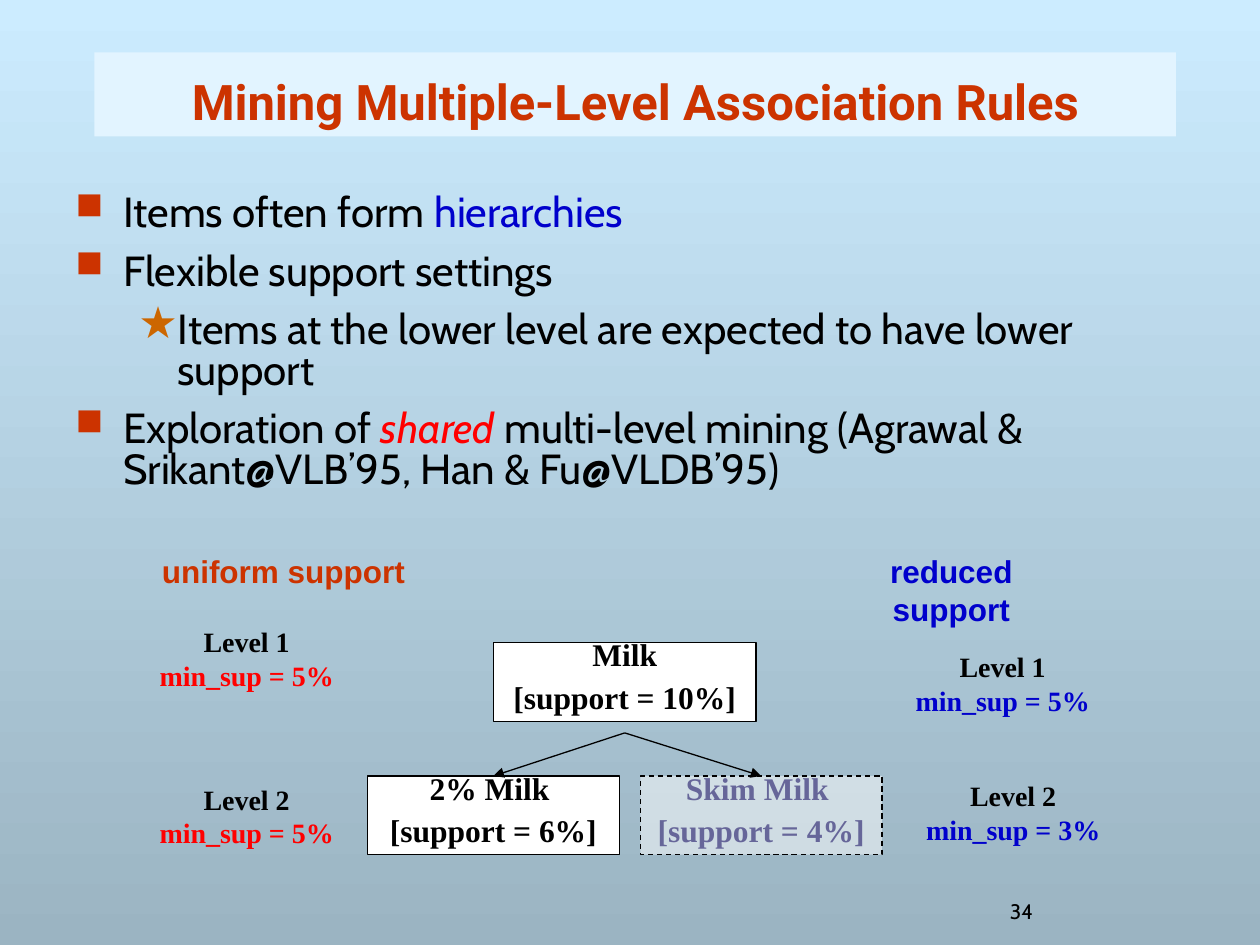
from pptx import Presentation
from pptx.dml.color import RGBColor
from pptx.enum.dml import MSO_LINE
from pptx.enum.shapes import MSO_CONNECTOR, MSO_SHAPE
from pptx.enum.text import MSO_ANCHOR, PP_ALIGN
from pptx.oxml.ns import qn
from pptx.util import Inches, Pt
from lxml.etree import SubElement

THEME = {
    "sky": "CCECFF", "slate": "9BB4C2", "band": "E2F4FF", "white": "FFFFFF",
    "black": "000000", "rust": "CC3300", "orange": "CC6600", "blue": "0000CC",
    "red": "FF0000", "muted": "666699",
    "title": ("Roboto", 28), "body": ("Cabin", 24), "number": ("Cabin", 12),
    "heading": ("Arial", 18), "item": ("Times New Roman", 18),
    "level": ("Times New Roman", 16),
}
CELL = Inches(1 / 12)  # the slide is a grid of 120 columns by 90 rows

# Content: a paragraph is a list of (text, colour) or (text, colour, italic)
TITLE = "Mining Multiple-Level Association Rules"
PAGE_NUMBER = "34"
POINTS = [
    (0, [("Items often form ", "black"), ("hierarchies", "blue")]),
    (0, [("Flexible support settings", "black")]),
    (1, [("Items at the lower level are expected to have lower support", "black")]),
    (0, [("Exploration of ", "black"), ("shared ", "red", True),
         ("multi-level mining (Agrawal & Srikant@VLB’95, Han & Fu@VLDB’95)", "black")]),
]
# Bullet per outline level: character, colour, size %, left margin, hanging indent
BULLETS = [("■", "rust", 90, 0.38, 0.38), ("★", "orange", 105, 0.81, 0.31)]
# Heading: text, colour, grid box
HEADINGS = [
    ("uniform support", "rust", (11, 52, 32, 7)),
    ("reduced support", "blue", (77.6, 52, 26, 4.8)),
]
# Level label: name, threshold, threshold colour, column, row
LEVELS = [
    ("Level 1", "min_sup = 5%", "red", 14, 58.9),
    ("Level 2", "min_sup = 5%", "red", 14, 73.9),
    ("Level 1", "min_sup = 5%", "blue", 86, 61.3),
    ("Level 2", "min_sup = 3%", "blue", 87, 73.6),
]
# Item: name, support, column, row, width, pruned
PARENT = ("Milk", "[support = 10%]", 47, 61.2, 25, False)
CHILDREN = [
    ("2% Milk ", "[support = 6%]", 35, 73.9, 24, False),
    ("Skim Milk ", "[support = 4%]", 61, 73.9, 23, True),
]
ITEM_ROWS, LEVEL_COLUMNS, LEVEL_ROWS, FORK_ROW = 7.5, 19, 7.7, 69.8


def rgb(name):
    return RGBColor.from_string(THEME[name])


def grid(*cells):
    return [round(cell * CELL) for cell in cells]


def write_text(shape, paragraphs, style, bold=False, align=PP_ALIGN.CENTER,
               anchor=MSO_ANCHOR.TOP, spacing=None, before=0, wrap=True, levels=None):
    frame = shape.text_frame
    frame.word_wrap = wrap
    frame.vertical_anchor = anchor
    font_name, size = THEME[style]
    for index, runs in enumerate(paragraphs):
        paragraph = frame.add_paragraph() if index else frame.paragraphs[0]
        if levels:
            add_bullet(paragraph, levels[index])
        paragraph.alignment = align
        paragraph.space_before = Pt(before if index else 0)
        if spacing:
            paragraph.line_spacing = spacing
        for text, colour, *italic in runs:
            run = paragraph.add_run()
            run.text = text
            run.font.name, run.font.size = font_name, Pt(size)
            run.font.bold, run.font.italic = bold, bool(italic)
            run.font.color.rgb = rgb(colour)


def add_bullet(paragraph, level):
    character, colour, percent, margin, hanging = BULLETS[level]
    paragraph.level = level
    properties = paragraph._p.get_or_add_pPr()
    properties.set("marL", str(Inches(margin)))
    properties.set("indent", str(-Inches(hanging)))
    SubElement(SubElement(properties, qn("a:buClr")), qn("a:srgbClr"), val=THEME[colour])
    SubElement(properties, qn("a:buSzPct"), val=str(percent * 1000))
    SubElement(properties, qn("a:buChar"), char=character)


def add_rectangle(slide, box, fill):
    rectangle = slide.shapes.add_shape(MSO_SHAPE.RECTANGLE, *grid(*box))
    rectangle.shadow.inherit = False
    rectangle.fill.solid()
    rectangle.fill.fore_color.rgb = rgb(fill)
    rectangle.line.fill.background()
    return rectangle


def add_item(slide, name, support, column, row, width, pruned):
    item = add_rectangle(slide, (column, row, width, ITEM_ROWS), "white")
    item.line.color.rgb = rgb("black")
    item.line.width = Pt(0.75)
    if pruned:
        item.line.dash_style = MSO_LINE.DASH
        white = item.fill._xPr.find(qn("a:solidFill")).find(qn("a:srgbClr"))
        SubElement(white, qn("a:alpha"), val="50000")
    colour = "muted" if pruned else "black"
    write_text(item, [[(name, colour)], [(support, colour)]], "item",
               bold=True, spacing=0.6, before=11.2)
    return item


def add_arrow(slide, start, child):
    arrow = slide.shapes.add_connector(MSO_CONNECTOR.STRAIGHT, *start, *start)
    arrow.end_connect(child, 0)
    arrow.line.color.rgb = rgb("black")
    arrow.line.width = Pt(0.75)
    SubElement(arrow.line._get_or_add_ln(), qn("a:tailEnd"), type="triangle")
    SubElement(arrow._element.spPr, qn("a:effectLst"))


def main():
    deck = Presentation()
    deck.slide_width, deck.slide_height = grid(120, 90)
    slide = deck.slides.add_slide(deck.slide_layouts[6])

    # Background, light at the top
    background = slide.background.fill
    background.gradient()
    background.gradient_angle = 270
    for stop, colour in zip(background.gradient_stops, ("sky", "slate")):
        stop.color.rgb = rgb(colour)

    # Page number, title band and outline
    number = slide.shapes.add_textbox(*grid(95, 85, 25, 5))
    write_text(number, [[(PAGE_NUMBER, "black")]], "number", align=PP_ALIGN.LEFT)
    title = add_rectangle(slide, (9, 5, 103, 8), "band")
    write_text(title, [[(TITLE, "rust")]], "title", bold=True, anchor=MSO_ANCHOR.BOTTOM)
    outline = slide.shapes.add_textbox(*grid(6, 18, 110, 31))
    write_text(outline, [runs for _, runs in POINTS], "body", align=PP_ALIGN.LEFT,
               spacing=0.8, before=10.5, levels=[level for level, _ in POINTS])

    # Support policies and their thresholds
    for text, colour, box in HEADINGS:
        heading = slide.shapes.add_textbox(*grid(*box))
        write_text(heading, [[(text, colour)]], "heading", bold=True)
    for name, threshold, colour, column, row in LEVELS:
        label = slide.shapes.add_textbox(*grid(column, row, LEVEL_COLUMNS, LEVEL_ROWS))
        write_text(label, [[(name, "black")], [(threshold, colour)]], "level",
                   bold=True, wrap=False)

    # Item hierarchy, forking just below the parent
    parent = add_item(slide, *PARENT)
    fork = (parent.left + parent.width // 2, *grid(FORK_ROW))
    for child in CHILDREN:
        add_arrow(slide, fork, add_item(slide, *child))

    deck.save("out.pptx")


if __name__ == "__main__":
    main()
